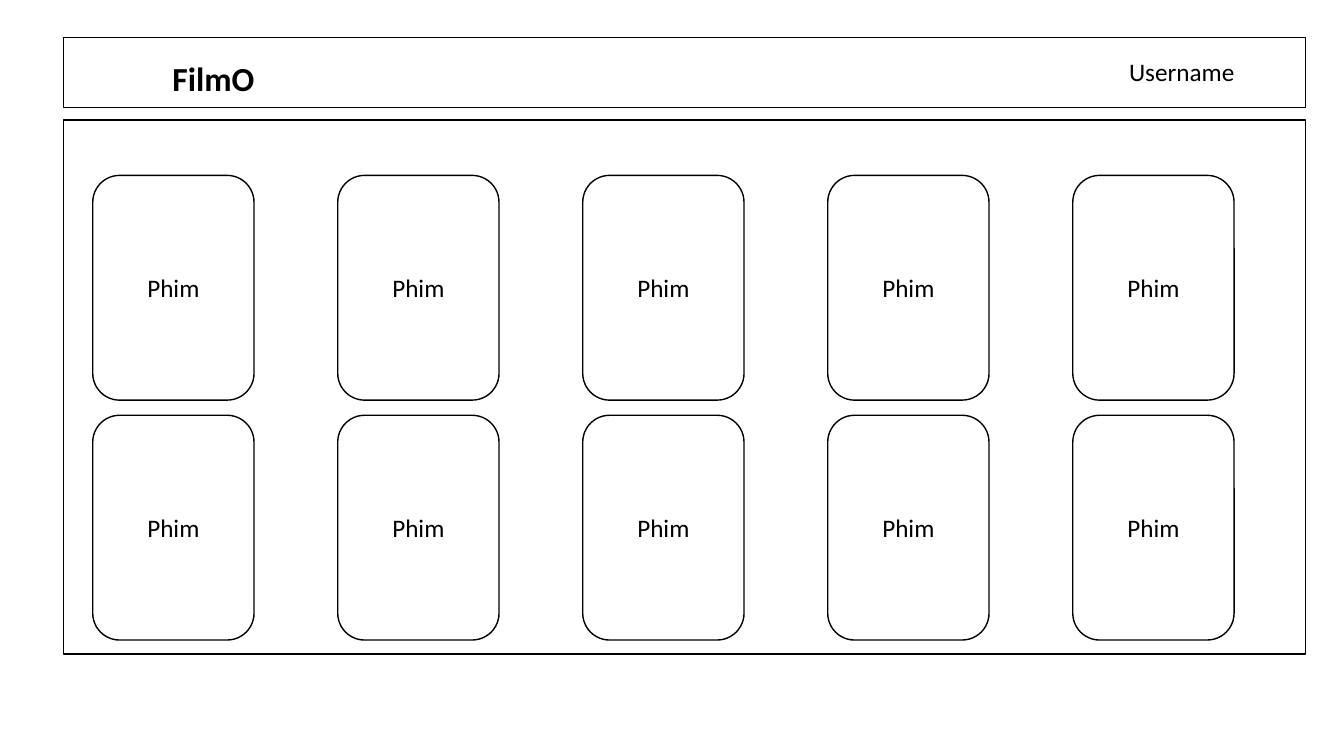
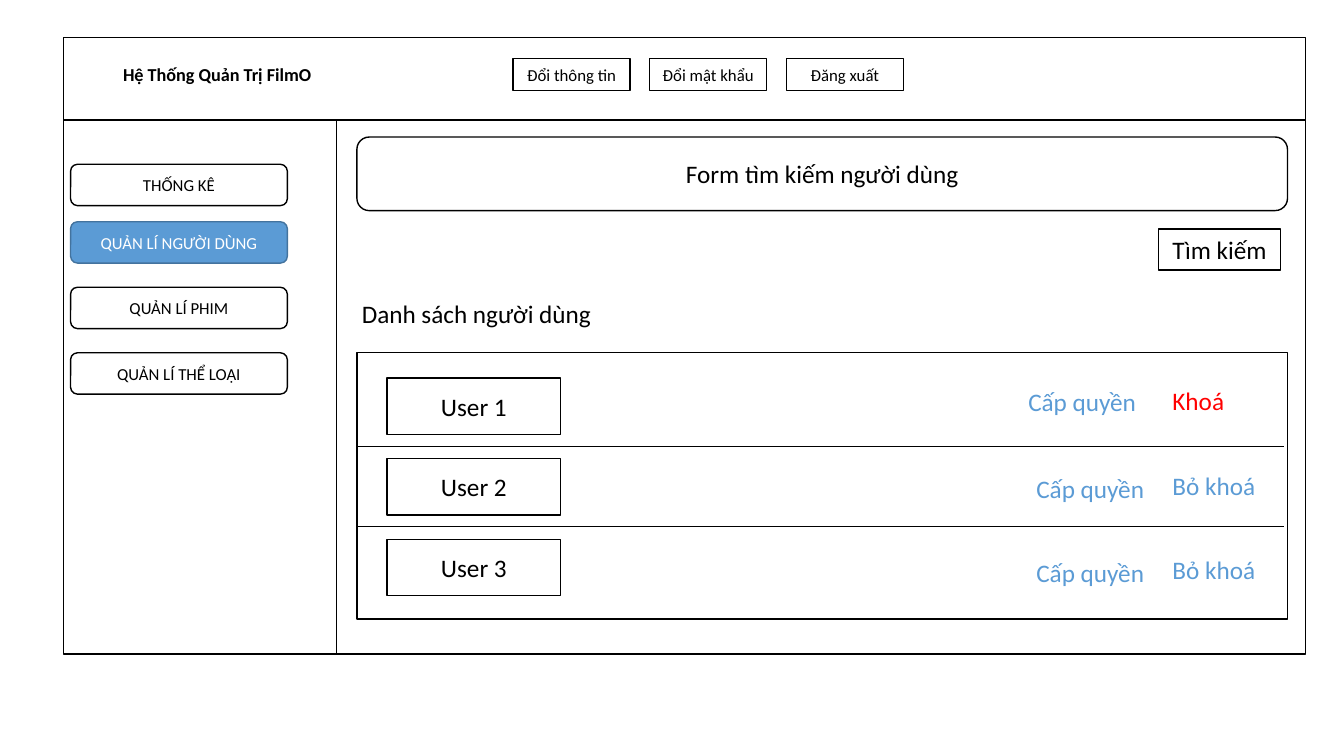
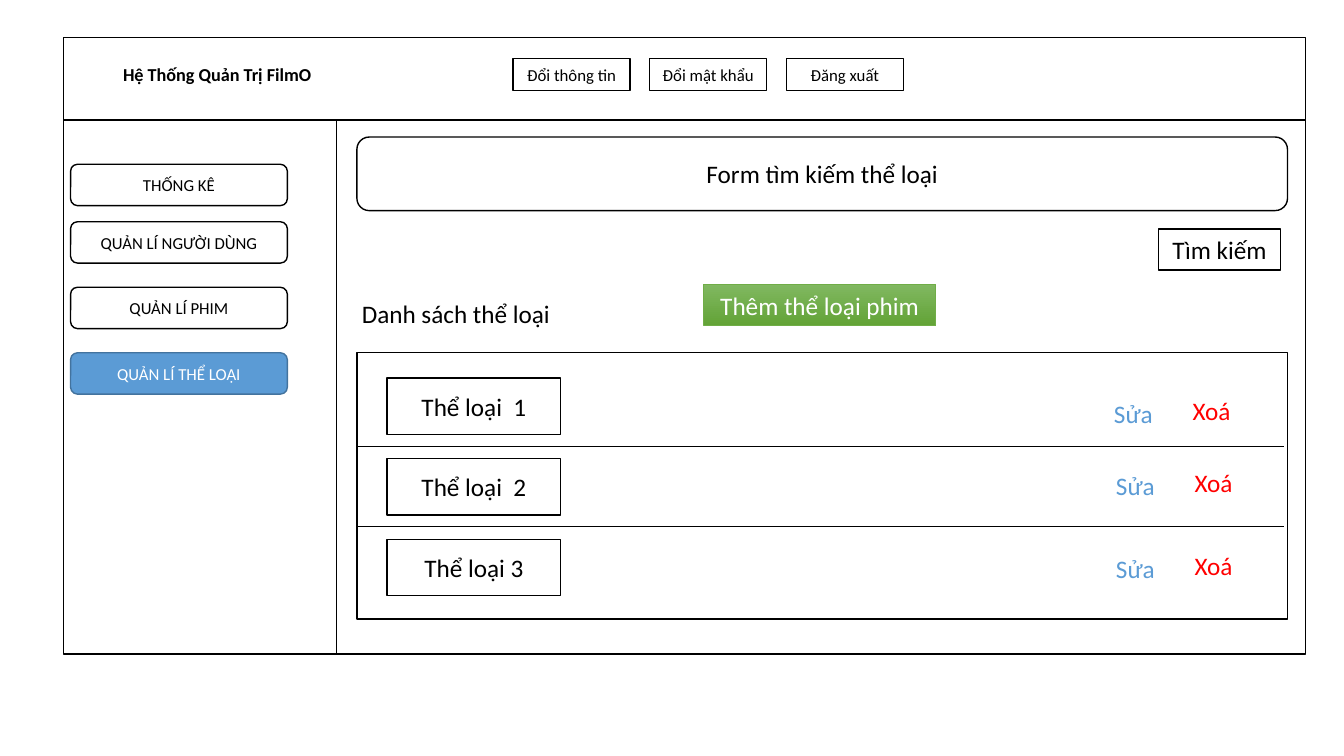
from dataclasses import dataclass

from lxml import etree
from pptx import Presentation
from pptx.dml.color import RGBColor
from pptx.enum import shapes, text
from pptx.oxml import ns
from pptx.util import Inches, Pt


@dataclass(frozen=True)
class Theme:
    font: str = "Calibri"
    ink: str = "000000"
    paper: str = "FFFFFF"
    accent: str = "5B9BD5"
    accent_edge: str = "43739E"
    danger: str = "FF0000"
    add_light: str = "81B861"
    add_dark: str = "62A336"
    add_edge: str = "70AD47"
    brand_size: float = 24
    body_size: float = 18
    admin_size: float = 13
    button_size: float = 12
    edge: float = 1
    hairline: float = 0.5


@dataclass(frozen=True)
class Box:
    left: float
    top: float
    width: float
    height: float

    def inner(self, left, top, width, height):
        return Box(self.left + left, self.top + top, width, height)

    def lengths(self):
        return [Inches(n) for n in (self.left, self.top, self.width, self.height)]


THEME = Theme()
RECT = shapes.MSO_SHAPE.RECTANGLE
ROUND = shapes.MSO_SHAPE.ROUNDED_RECTANGLE
LEFT, CENTER = text.PP_ALIGN.LEFT, text.PP_ALIGN.CENTER
TOP, MIDDLE = text.MSO_ANCHOR.TOP, text.MSO_ANCHOR.MIDDLE

SITE_HEADER = Box(0.63, 0.37, 12.32, 0.7)
ADMIN_HEADER = Box(0.63, 0.37, 12.32, 0.82)
BODY = Box(0.63, 1.19, 12.32, 5.3)

HEADER_BUTTONS = ["Đổi thông tin", "Đổi mật khẩu", "Đăng xuất"]
MENU = [
    ("THỐNG KÊ", 0.44),
    ("QUẢN LÍ NGƯỜI DÙNG", 1.01),
    ("QUẢN LÍ PHIM", 1.66),
    ("QUẢN LÍ THỂ LOẠI", 2.31),
]
USERS = {
    "active": "QUẢN LÍ NGƯỜI DÙNG",
    "form": "Form tìm kiếm người dùng",
    "heading": "Danh sách người dùng",
    "add": None,
    "rows": ["User 1", "User 2", "User 3"],
    "actions": [
        ("Cấp quyền", THEME.accent, 6.56, 0.28),
        ("Khoá", THEME.danger, 7.99, 0.27),
        ("Cấp quyền", THEME.accent, 6.64, 1.15),
        ("Bỏ khoá", THEME.accent, 7.99, 1.12),
        ("Cấp quyền", THEME.accent, 6.64, 1.98),
        ("Bỏ khoá", THEME.accent, 7.99, 1.95),
    ],
}
CATEGORIES = {
    "active": "QUẢN LÍ THỂ LOẠI",
    "form": "Form tìm kiếm thể loại",
    "heading": "Danh sách thể loại",
    "add": "Thêm thể loại phim",
    "rows": ["Thể loại  1", "Thể loại  2", "Thể loại 3"],
    "actions": [
        ("Sửa", THEME.accent, 7.41, 0.4),
        ("Xoá", THEME.danger, 8.19, 0.37),
        ("Sửa", THEME.accent, 7.43, 1.12),
        ("Xoá", THEME.danger, 8.21, 1.09),
        ("Sửa", THEME.accent, 7.43, 1.94),
        ("Xoá", THEME.danger, 8.21, 1.91),
    ],
}


def write(shape, words, size=THEME.body_size, color=THEME.ink, bold=False,
          align=LEFT, anchor=TOP, wrap=True):
    frame = shape.text_frame
    settings = {
        "word_wrap": wrap,
        "auto_size": text.MSO_AUTO_SIZE.NONE,
        "vertical_anchor": anchor,
        "margin_left": Inches(0.1),
        "margin_right": Inches(0.1),
        "margin_top": Inches(0.05),
        "margin_bottom": Inches(0.05),
    }
    for name, value in settings.items():
        setattr(frame, name, value)
    para = frame.paragraphs[0]
    para.alignment = align
    span = para.add_run()
    span.text = words
    for name, value in {"name": THEME.font, "size": Pt(size), "bold": bold}.items():
        setattr(span.font, name, value)
    span.font.color.rgb = RGBColor.from_string(color)


def add_panel(page, box, words=None, kind=RECT, size=THEME.body_size,
              fill=THEME.paper, edge=THEME.ink, color=THEME.ink):
    panel = page.shapes.add_shape(kind, *box.lengths())
    panel.shadow.inherit = False
    panel.fill.solid()
    panel.fill.fore_color.rgb = RGBColor.from_string(fill)
    panel.line.color.rgb = RGBColor.from_string(edge)
    panel.line.width = Pt(THEME.edge)
    if words:
        write(panel, words, size, color, align=CENTER, anchor=MIDDLE)
    return panel


def add_label(page, box, words, **style):
    write(page.shapes.add_textbox(*box.lengths()), words, **style)


def add_rule(page, x1, y1, x2, y2):
    ends = [Inches(n) for n in (x1, y1, x2, y2)]
    rule = page.shapes.add_connector(shapes.MSO_CONNECTOR.STRAIGHT, *ends)
    rule.line.color.rgb = RGBColor.from_string(THEME.ink)
    rule.line.width = Pt(THEME.hairline)
    etree.SubElement(rule.element.spPr, ns.qn("a:effectLst"))


def place_title(page, box, words, size):
    title = page.shapes.title
    for name, value in zip(("left", "top", "width", "height"), box.lengths()):
        setattr(title, name, value)
    write(title, words, size, bold=True)
    title.element.getparent().append(title.element)


def site_header(page, box):
    add_panel(page, box)
    place_title(page, box.inner(0.98, 0.15, 2.47, 0.5), "FilmO", THEME.brand_size)
    add_label(page, box.inner(10.47, 0.14, 1.26, 0.4), "Username", wrap=False)


def film_grid(page, box):
    add_panel(page, box)
    for row in range(2):
        for column in range(5):
            card = box.inner(0.29 + 2.43 * column, 0.55 + 2.38 * row, 1.6, 2.23)
            add_panel(page, card, "Phim", ROUND)


def admin_header(page, box):
    add_panel(page, box)
    place_title(page, box.inner(0.49, 0.21, 2.32, 0.32),
                "Hệ Thống Quản Trị FilmO", THEME.admin_size)
    for index, words in enumerate(HEADER_BUTTONS):
        button = box.inner(4.46 + 1.355 * index, 0.21, 1.16, 0.32)
        add_panel(page, button, words, size=THEME.button_size)


def side_menu(page, box, active):
    chosen = {"fill": THEME.accent, "edge": THEME.accent_edge, "color": THEME.paper}
    for words, top in MENU:
        style = chosen if words == active else {}
        add_panel(page, box.inner(0.07, top, 2.15, 0.41), words, ROUND,
                  THEME.button_size, **style)
    right = box.left + box.width
    add_rule(page, right, box.top, right, box.top + box.height)


def search_area(page, box, content):
    add_panel(page, box.inner(0, 0, box.width, 0.73), content["form"], ROUND)
    add_panel(page, box.inner(7.95, 0.91, 1.21, 0.41), "Tìm kiếm")
    add_label(page, box.inner(-0.05, 1.55, 2.64, 0.4), content["heading"])
    if content["add"]:
        button = add_panel(page, box.inner(3.44, 1.46, 2.3, 0.41), content["add"],
                           edge=THEME.add_edge, color=THEME.paper)
        button.line.width = Pt(THEME.hairline)
        button.fill.gradient()
        button.fill.gradient_angle = 270
        colors = (THEME.add_light, THEME.add_dark)
        for stop, color in zip(button.fill.gradient_stops, colors):
            stop.color.rgb = RGBColor.from_string(color)


def item_list(page, box, rows, actions):
    add_panel(page, box)
    for index, words in enumerate(rows):
        add_panel(page, box.inner(0.3, 0.25 + 0.8 * index, 1.72, 0.56), words)
    for index in range(len(rows) - 1):
        y = box.top + 0.93 + 0.79 * index
        add_rule(page, box.left, y, box.left + 9.19, y)
    for words, color, left, top in actions:
        add_label(page, box.inner(left, top, 1.52, 0.4), words, color=color, wrap=False)


def home_page(page):
    site_header(page, SITE_HEADER)
    film_grid(page, BODY)


def admin_page(page, content):
    admin_header(page, ADMIN_HEADER)
    add_panel(page, BODY)
    side_menu(page, BODY.inner(0, 0, 2.71, BODY.height), content["active"])
    search_area(page, BODY.inner(2.91, 0.17, 9.23, 1.95), content)
    item_list(page, BODY.inner(2.91, 2.31, 9.23, 2.64), content["rows"], content["actions"])


def main():
    deck = Presentation()
    deck.slide_width, deck.slide_height = Inches(13.33), Inches(7.5)
    title_only = deck.slide_layouts[5]
    home_page(deck.slides.add_slide(title_only))
    for content in (USERS, CATEGORIES):
        admin_page(deck.slides.add_slide(title_only), content)
    deck.save("out.pptx")


if __name__ == "__main__":
    main()
